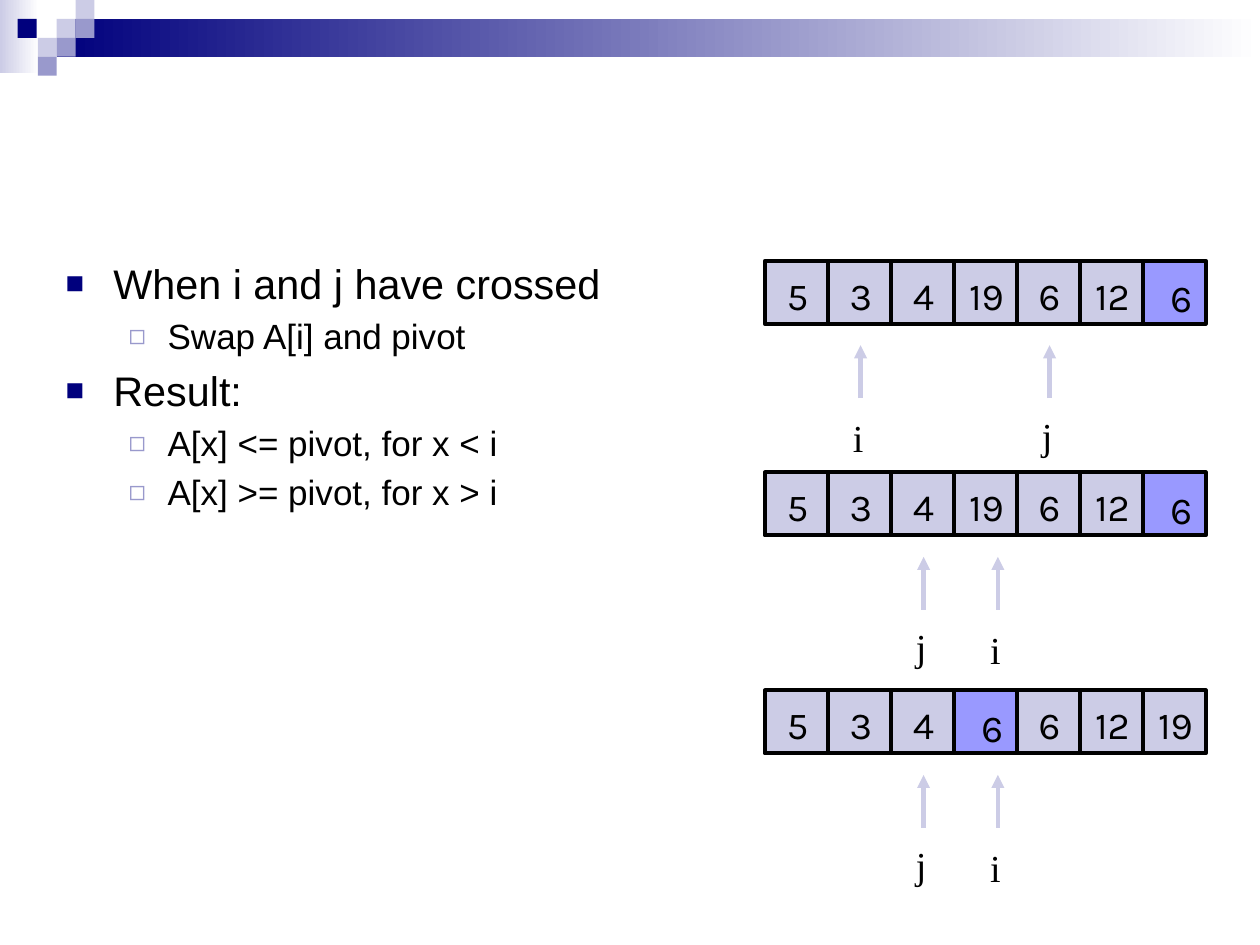
from lxml.etree import SubElement
from pptx import Presentation
from pptx.dml.color import RGBColor
from pptx.enum.shapes import MSO_CONNECTOR as Conn, MSO_SHAPE as Shape
from pptx.enum.text import MSO_ANCHOR as Anchor, MSO_AUTO_SIZE as AutoSize, PP_ALIGN as Align
from pptx.oxml.ns import qn
from pptx.util import Inches, Pt


def rgb(value):
    return RGBColor.from_string(value)


class Deck:
    NAVY, LILAC, MID, PIVOT = "00007D", "CCCCE6", "9999CC", "9999FF"
    BLACK, WHITE = "000000", "FFFFFF"
    BODY, DIGITS, LABELS = "Arial", "Karla", "Times New Roman"
    LEVELS = [
        (23.6, 0.38, 0.38, "■", NAVY, 75),
        (20, 0.81, 0.31, "◻", MID, 80),
    ]
    CELL = 0.5

    def __init__(self):
        self.prs = Presentation()
        self.prs.slide_width, self.prs.slide_height = Inches(10), Inches(7.5)
        self.s = self.prs.slides.add_slide(self.prs.slide_layouts[1])
        title = self.s.shapes.title.element
        title.getparent().remove(title)

    def font(self, p, name, size):
        for r in p.runs:
            r.font.name, r.font.size = name, Pt(size)
            r.font.color.rgb = rgb(self.BLACK)

    def rect(self, x, y, w, h, color, fade=False, border=False):
        sp = self.s.shapes.add_shape(Shape.RECTANGLE, Inches(x), Inches(y), Inches(w), Inches(h))
        sp.shadow.inherit = False
        if fade:
            sp.fill.gradient()
            sp.fill.gradient_angle = 0
            for stop, tone in zip(sp.fill.gradient_stops, (color, self.WHITE)):
                stop.color.rgb = rgb(tone)
        else:
            sp.fill.solid()
            sp.fill.fore_color.rgb = rgb(color)
        if border:
            sp.line.color.rgb = rgb(self.BLACK)
            sp.line.width = Pt(2.25)
        else:
            sp.line.fill.background()

    def text(self, x, y, w, text, font, align=Align.LEFT, wrap=True):
        tf = self.s.shapes.add_textbox(Inches(x), Inches(y), Inches(w), Inches(0.47)).text_frame
        tf.word_wrap = wrap
        tf.auto_size = AutoSize.SHAPE_TO_FIT_TEXT
        tf.text = text
        p = tf.paragraphs[0]
        p.alignment = align
        self.font(p, font, 21.8)

    def bullets(self, x, y, w, h, items):
        body = self.s.placeholders[1]
        body.left, body.top, body.width, body.height = map(Inches, (x, y, w, h))
        tf = body.text_frame
        tf.auto_size = AutoSize.NONE
        tf.vertical_anchor = Anchor.TOP
        for i, (level, text) in enumerate(items):
            p = tf.add_paragraph() if i else tf.paragraphs[0]
            p.text, p.level = text, level
            size, margin, hang, char, color, percent = self.LEVELS[level]
            pPr = p._p.get_or_add_pPr()
            pPr.set("marL", str(Inches(margin)))
            pPr.set("indent", str(-Inches(hang)))
            tint = SubElement(pPr, qn("a:buClr"))
            SubElement(tint, qn("a:srgbClr"), val=color)
            SubElement(pPr, qn("a:buSzPct"), val=str(percent * 1000))
            SubElement(pPr, qn("a:buChar"), char=char)
            p.space_before = Pt(size * 0.2 if i else 0)
            self.font(p, self.BODY, size)

    def array(self, x, y, values, pivot):
        for i, value in enumerate(values):
            left = x + i * self.CELL
            is_pivot = i == pivot
            self.rect(left, y, self.CELL, self.CELL, self.PIVOT if is_pivot else self.LILAC, border=True)
            w = 0.37 if value < 10 else 0.54
            dx, dy = (0.12, 0.06) if is_pivot else (0.26 - w / 2, 0.04)
            self.text(left + dx, y + dy, w, str(value), self.DIGITS, Align.CENTER, wrap=False)

    def pointer(self, x, y, name):
        arrow = self.s.shapes.add_connector(
            Conn.STRAIGHT, Inches(x), Inches(y + 0.42), Inches(x), Inches(y))
        arrow.line.color.rgb = rgb(self.LILAC)
        arrow.line.width = Pt(2.5)
        SubElement(arrow.line._get_or_add_ln(), qn("a:tailEnd"), type="triangle")
        SubElement(arrow._element.spPr, qn("a:effectLst"))
        w, dy = (0.33, 0.5) if name == "i" else (0.42, 0.48)
        self.text(x - 0.16, y + dy, w, name, self.LABELS)

    def header(self):
        self.rect(0, 0, 0.31, 0.58, self.LILAC, fade=True)
        self.rect(0.45, 0.15, 9.55, 0.3, self.NAVY, fade=True)
        squares = [
            (0.45, 0.15, self.LILAC), (0.6, 0, self.LILAC), (0.6, 0.15, self.MID),
            (0.3, 0.3, self.LILAC), (0.14, 0.15, self.NAVY), (0.45, 0.3, self.MID),
            (0.3, 0.45, self.MID),
        ]
        for x, y, color in squares:
            self.rect(x, y, 0.15, 0.15, color)


def main():
    deck = Deck()
    deck.header()
    deck.bullets(0.42, 2, 5.33, 4.5, [
        (0, "When i and j have crossed"),
        (1, "Swap A[i] and pivot"),
        (0, "Result:"),
        (1, "A[x] <= pivot, for x < i"),
        (1, "A[x] >= pivot, for x > i"),
    ])
    before = [5, 3, 4, 19, 6, 12, 6]
    swapped = [5, 3, 4, 6, 6, 12, 19]
    steps = [
        (2.07, before, 6, {"i": 6.83, "j": 8.33}),
        (3.75, before, 6, {"i": 7.92, "j": 7.33}),
        (5.48, swapped, 3, {"i": 7.92, "j": 7.33}),
    ]
    for y, values, pivot, pointers in steps:
        deck.array(6.07, y, values, pivot)
        for name, x in pointers.items():
            deck.pointer(x, y + 0.67, name)
    deck.prs.save("out.pptx")


if __name__ == "__main__":
    main()
